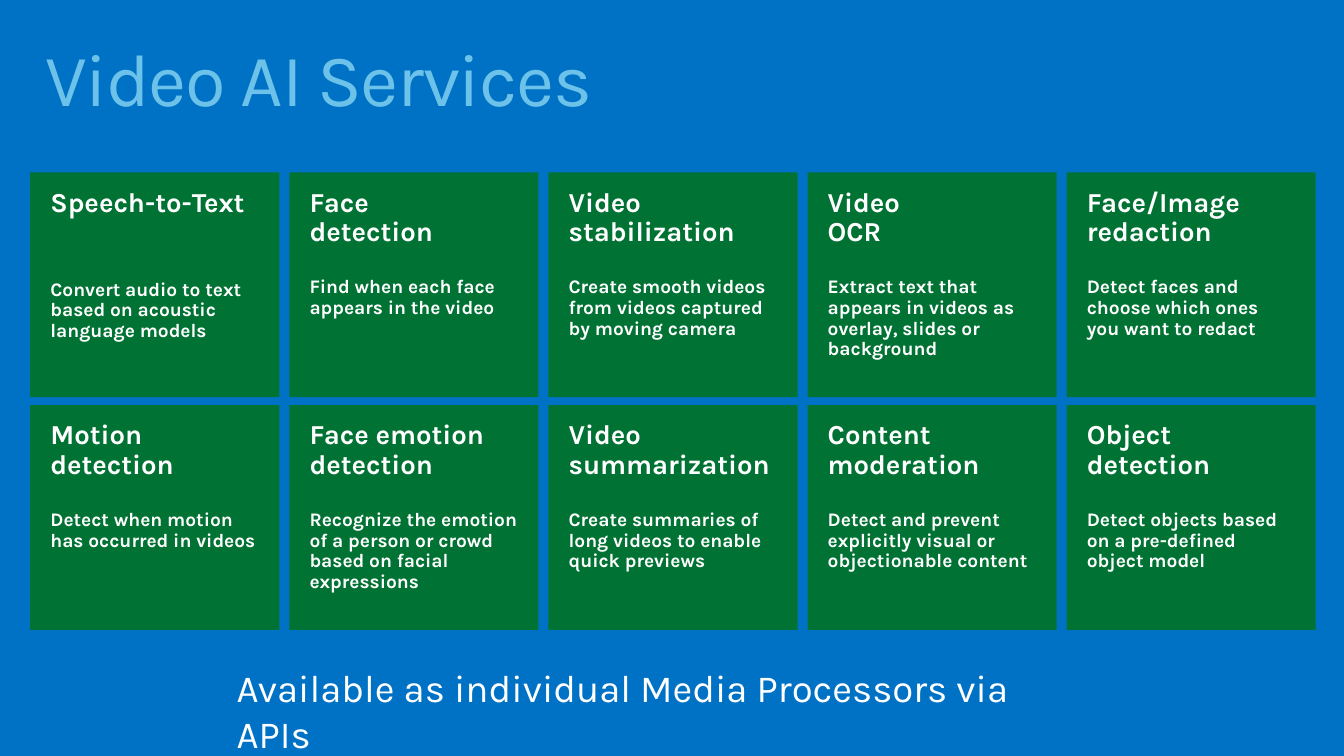
from pptx import Presentation
from pptx.dml.color import RGBColor
from pptx.enum.shapes import MSO_SHAPE
from pptx.enum.text import MSO_ANCHOR, PP_ALIGN
from pptx.util import Inches, Pt

CARD = MSO_SHAPE.ROUNDED_RECTANGLE
TOP = MSO_ANCHOR.TOP
LEFT = PP_ALIGN.LEFT

COLORS = {"background": "0072C6", "card": "007233", "title": "6DC2E9", "text": "FFFFFF"}
FONT = "Karla"

COLUMNS = 5
GRID_LEFT, GRID_TOP = 0.3, 1.71
CARD_W, CARD_H = 2.47, 2.23
PITCH_X, PITCH_Y = 2.57, 2.31

SERVICES = [
    ("Speech-to-Text", "Convert audio to text based on acoustic language models"),
    ("Face\ndetection", "Find when each face appears in the video"),
    ("Video\nstabilization", "Create smooth videos from videos captured by moving camera"),
    ("Video\nOCR", "Extract text that appears in videos as overlay, slides or background"),
    ("Face/Image\nredaction", "Detect faces and choose which ones you want to redact"),
    ("Motion\ndetection", "Detect when motion has occurred in videos"),
    ("Face emotion detection", "Recognize the emotion of a person or crowd based on facial expressions"),
    ("Video\nsummarization", "Create summaries of long videos to enable quick previews"),
    ("Content moderation", "Detect and prevent explicitly visual or objectionable content"),
    ("Object\ndetection", "Detect objects based\non a pre-defined\nobject model"),
]


def rgb(name):
    return RGBColor.from_string(COLORS[name])


def write(p, text, size, color="text", bold=False, line=0.9, before=0, tracking=0):
    p.text = text
    p.alignment = LEFT
    p.line_spacing = line
    if before:
        p.space_before = Pt(before)
    for r in p.runs:
        r.font.name = FONT
        r.font.size = Pt(size)
        r.font.bold = bold
        r.font.color.rgb = rgb(color)
        if tracking:
            r.font._element.set("spc", str(tracking))


prs = Presentation()
prs.slide_width, prs.slide_height = Inches(13.33), Inches(7.5)
s = prs.slides.add_slide(prs.slide_layouts[6])
s.background.fill.solid()
s.background.fill.fore_color.rgb = rgb("background")

title = s.shapes.add_textbox(Inches(0.29), Inches(0.32), Inches(12.75), Inches(0.98))
tf = title.text_frame
tf.word_wrap = True
tf.margin_left = tf.margin_right = Inches(0.16)
tf.margin_top = tf.margin_bottom = Inches(0.1)
write(tf.paragraphs[0], "Video AI Services", 52.9, color="title", tracking=-100)

for i, (heading, description) in enumerate(SERVICES):
    row, col = divmod(i, COLUMNS)
    sp = s.shapes.add_shape(
        CARD,
        Inches(GRID_LEFT + col * PITCH_X), Inches(GRID_TOP + row * PITCH_Y),
        Inches(CARD_W), Inches(CARD_H),
    )
    sp.adjustments[0] = 0
    sp.shadow.inherit = False
    sp.fill.solid()
    sp.fill.fore_color.rgb = rgb("card")
    sp.line.fill.background()
    tf = sp.text_frame
    tf.word_wrap = True
    tf.vertical_anchor = TOP
    tf.margin_left = tf.margin_right = Inches(0.2)
    tf.margin_top = tf.margin_bottom = Inches(0.16)
    write(tf.paragraphs[0], heading, 19.6, bold=True)
    # The one-line heading needs a second line's worth of extra space.
    gap = 44 if heading == "Speech-to-Text" else 21
    write(tf.add_paragraph(), description, 13.7, bold=True, before=gap)

footer = s.shapes.add_textbox(Inches(2.25), Inches(6.54), Inches(7.97), Inches(0.56))
tf = footer.text_frame
tf.word_wrap = True
write(tf.paragraphs[0], "Available as individual Media Processors via APIs", 27.4, line=1.0)

prs.save("out.pptx")
